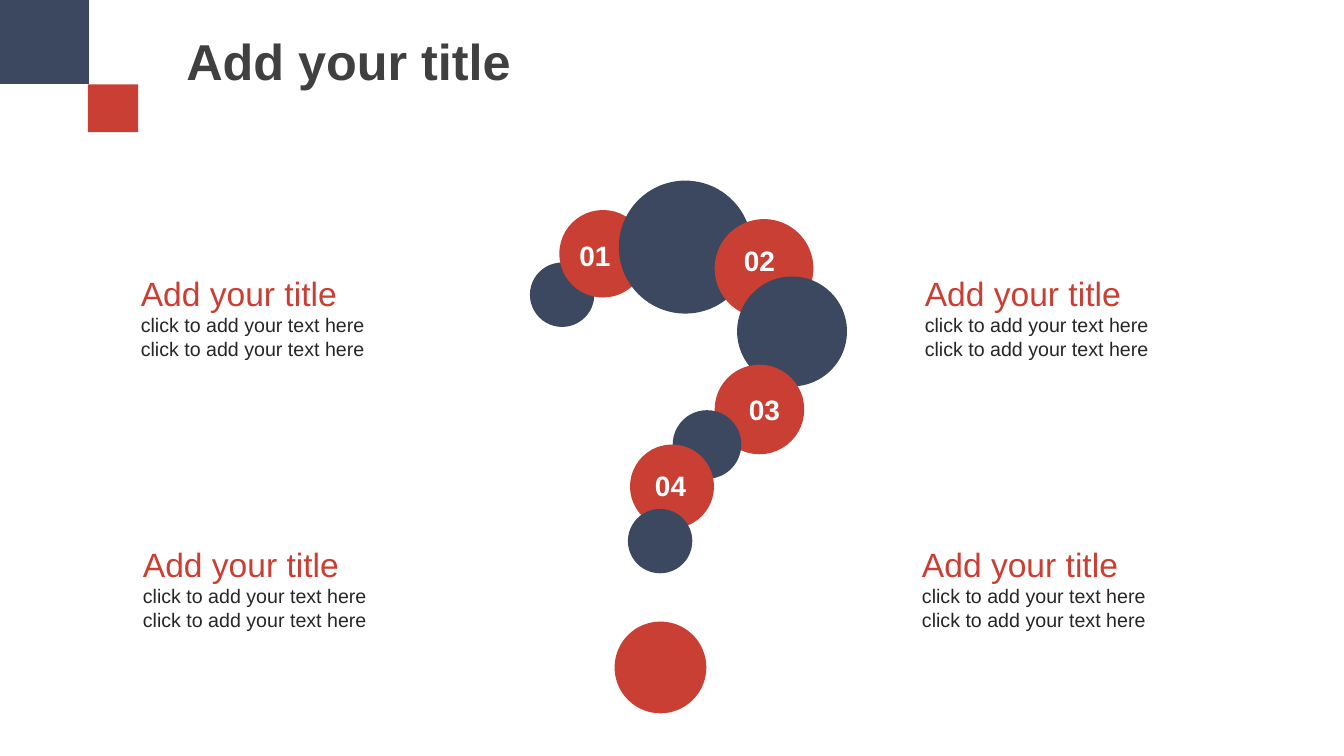
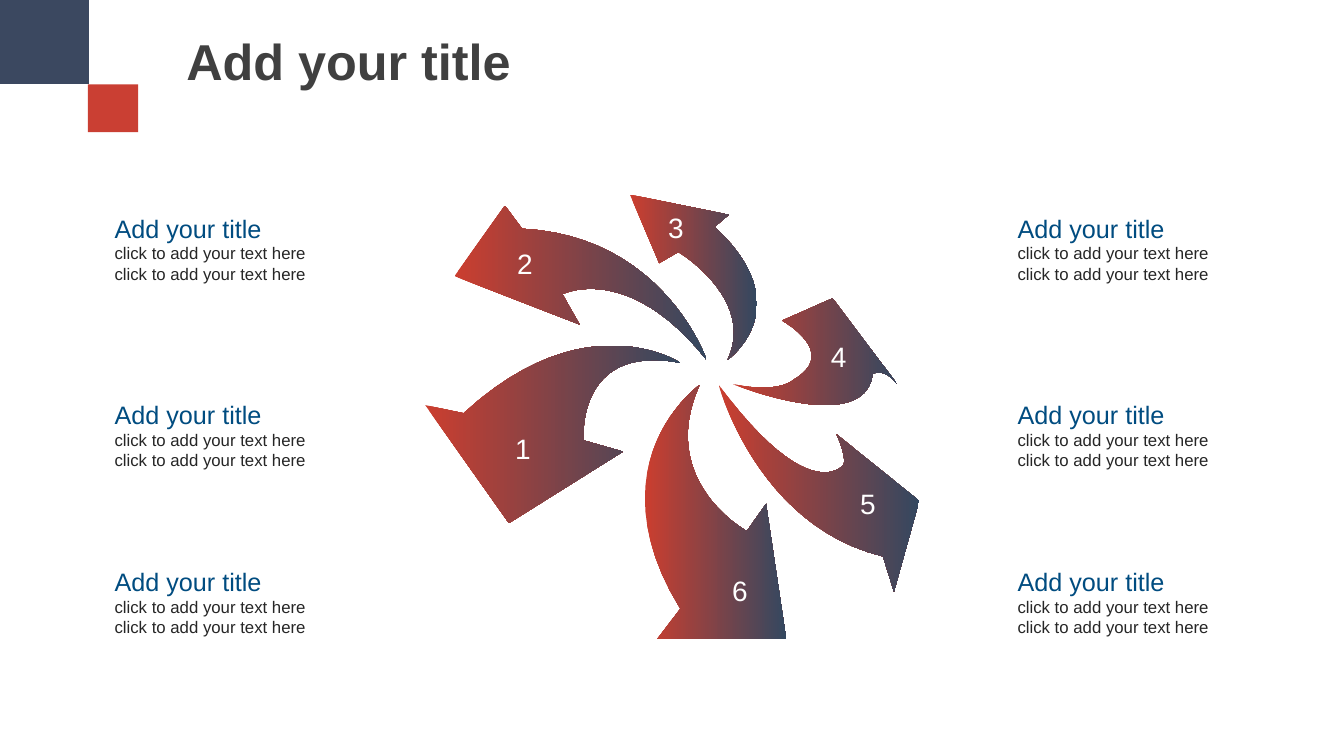
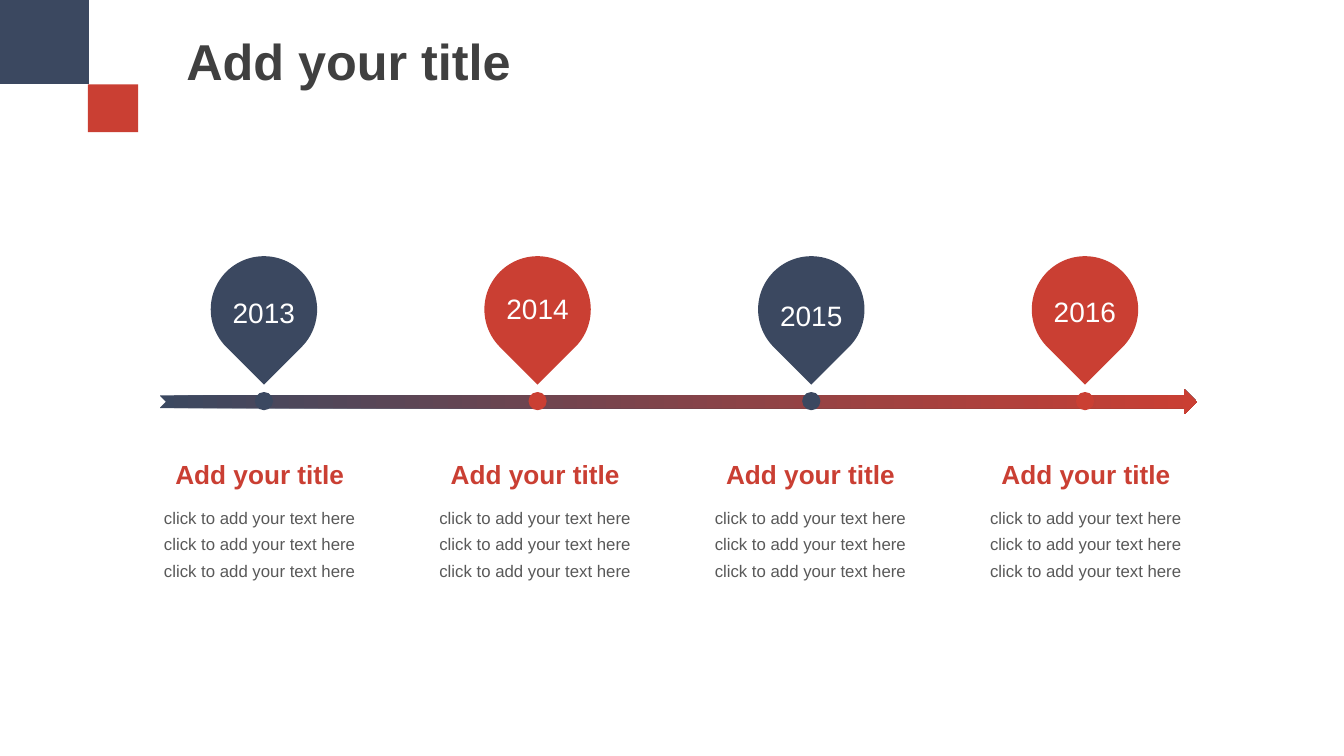
import pptx
import pptx.dml.color
import pptx.enum.shapes
import pptx.enum.text
import pptx.util

Pt = pptx.util.Pt
SHAPE = pptx.enum.shapes.MSO_SHAPE
ALIGN = pptx.enum.text.PP_ALIGN

FONT = "Arial"
COLORS = {
    "navy": "3B4860",
    "red": "CA3F33",
    "blade_start": "CB3E2F",
    "blade_end": "344860",
    "heading_blue": "004C80",
    "title": "404040",
    "body": "262626",
    "caption": "595959",
    "white": "FFFFFF",
}
HEADING = "Add your title"
BODY = "click to add your text here"

# Question mark: left, top, diameter; colours alternate
BUBBLES = [
    (378.5, 187.5, 46), (399.5, 150, 62.5), (442, 129, 95), (510.5, 156.5, 70.5),
    (526.5, 197.5, 78.5), (510.5, 260.5, 64), (480.5, 293, 49), (450, 317.5, 60),
    (448.5, 363.5, 46), (439, 444, 65.5),
]
BUBBLE_LABELS = [(393, 167), (510.5, 170.5), (514, 276.5), (447, 331)]
QUESTION_NOTES = [(93.5, 191.5), (651.5, 385), (95, 385), (653.5, 191.5)]

# Pinwheel blades: number centre, then outline.
# A pair is a straight edge; four values are a bend point and an end point.
BLADES = [
    ((373.5, 320.5), [(303.8, 289.4), (363.6, 373.7), (445, 322.6), (416.9, 314.6),
                      (411.1, 244.8, 486, 259.2), (419, 214.6, 331.2, 295.2)]),
    ((375, 188.3), [(504.7, 257), (474.5, 168.5, 373, 163.4), (360.7, 146.9),
                    (324.7, 197.3), (414, 231.8), (401.8, 210.2),
                    (448.6, 186.5, 504.7, 257)]),
    ((482.8, 162.5), [(450, 139), (470.9, 187.9), (484.6, 180),
                      (540, 213.1, 519.8, 257), (572.4, 219.6, 510.5, 162),
                      (520.6, 153.4)]),
    ((599, 255.3), [(523.4, 274.3), (617.8, 312.5, 623.5, 267.1),
                    (631.4, 262.1, 640.8, 274.3), (594.7, 213.1), (558.7, 229),
                    (600.5, 252, 566.6, 271.4), (556.6, 281.5, 523.4, 274.3)]),
    ((620, 360), [(513.4, 275), (540.7, 375.8, 630.7, 397.4), (638.6, 422.6),
                  (656.6, 357.8), (597.6, 310.3), (604.8, 326.2, 602.6, 331.9),
                  (578.9, 363.6, 513.4, 275)]),
    ((528.5, 422), [(499.7, 275), (421.9, 330.5, 486, 434.9), (469.4, 456.5),
                    (561.6, 456.5), (547.2, 360), (533.5, 379.4),
                    (468.7, 344.2, 499.7, 275)]),
]
CURVE_STEPS = 24

# Timeline: year and the top of its label
MILESTONES = [("2013", 207.5), ("2014", 204.5), ("2015", 210), ("2016", 206.5)]


def rgb(color):
    return pptx.dml.color.RGBColor.from_string(COLORS[color])


def paint(shape, color, end_color=None):
    """Flat fill, or a left-to-right gradient when end_color is given."""
    shape.shadow.inherit = False
    shape.line.fill.background()
    if end_color is None:
        shape.fill.solid()
        shape.fill.fore_color.rgb = rgb(color)
    else:
        shape.fill.gradient()
        shape.fill.gradient_angle = 0
        for stop, name in zip(shape.fill.gradient_stops, (color, end_color)):
            stop.color.rgb = rgb(name)


def add_block(slide, kind, left, top, width, height, color, end_color=None):
    block = slide.shapes.add_shape(kind, Pt(left), Pt(top), Pt(width), Pt(height))
    paint(block, color, end_color)
    return block


def add_text(slide, left, top, width, height, lines, align=ALIGN.LEFT,
             wrap=False, spacing=None):
    """Each line is (text, size, colour, bold)."""
    box = slide.shapes.add_textbox(Pt(left), Pt(top), Pt(width), Pt(height))
    frame = box.text_frame
    frame.word_wrap = wrap
    frame.text = "\n".join(line[0] for line in lines)
    for paragraph, (_, size, color, bold) in zip(frame.paragraphs, lines):
        paragraph.alignment = align
        if spacing:
            paragraph.line_spacing = spacing
        font = paragraph.font
        font.name, font.size, font.bold = FONT, Pt(size), bold
        font.color.rgb = rgb(color)


def add_label(slide, left, top, text, bold=False):
    add_text(slide, left, top, 64, 32, [(text, 20, "white", bold)], ALIGN.CENTER, True)


def add_note(slide, left, top, width, height, heading_color, heading_size, body_size):
    body = (BODY, body_size, "body", False)
    heading = (HEADING, heading_size, heading_color, False)
    add_text(slide, left, top, width, height, [heading, body, body])


def add_blade(slide, outline):
    points = [outline[0]]
    for *bend, end_x, end_y in outline[1:]:
        if not bend:
            points.append((end_x, end_y))
            continue
        # Cubic curve whose first control point is its start
        (x, y), (bend_x, bend_y) = points[-1], bend
        for step in range(1, CURVE_STEPS + 1):
            t = step / CURVE_STEPS
            near, middle, far = (1 - t) ** 2 * (1 + 2 * t), 3 * t * t * (1 - t), t ** 3
            points.append((near * x + middle * bend_x + far * end_x,
                           near * y + middle * bend_y + far * end_y))
    start, *rest = [(Pt(x), Pt(y)) for x, y in points]
    builder = slide.shapes.build_freeform(*start)
    builder.add_line_segments(rest, close=True)
    paint(builder.convert_to_shape(), "blade_start", "blade_end")


def add_framed_slide(deck):
    """Blank slide with the shared title and corner squares."""
    slide = deck.slides.add_slide(deck.slide_layouts[6])
    add_text(slide, 126, 18, 249, 51, [(HEADING, 36, "title", True)])
    add_block(slide, SHAPE.RECTANGLE, 0, 0, 63.5, 60, "navy")
    add_block(slide, SHAPE.RECTANGLE, 62.75, 60.25, 36, 34.25, "red")
    return slide


def build_question_mark(slide):
    for index, (left, top, diameter) in enumerate(BUBBLES):
        add_block(slide, SHAPE.OVAL, left, top, diameter, diameter,
                  ("navy", "red")[index % 2])
    for number, (left, top) in enumerate(BUBBLE_LABELS, 1):
        add_label(slide, left, top, f"{number:02d}", bold=True)
    for left, top in QUESTION_NOTES:
        add_note(slide, left, top, 175, 114, "red", 24, 14)


def build_pinwheel(slide):
    for number, ((x, y), outline) in enumerate(BLADES, 1):
        add_blade(slide, outline)
        add_label(slide, x - 32, y - 16, str(number))
    for left in (74.75, 719.75):
        for top in (148.5, 281.5, 401):
            add_note(slide, left, top, 152.5, 97, "heading_blue", 18, 12)


def build_timeline(slide):
    add_block(slide, SHAPE.NOTCHED_RIGHT_ARROW, 114, 278, 741, 18, "navy", "red")
    for index, (year, year_top) in enumerate(MILESTONES):
        color = ("navy", "red")[index % 2]
        # Pin and its dot on the axis
        center = 188.5 + 195.5 * index
        add_block(slide, SHAPE.OVAL, center - 6.5, 280, 13, 13, color)
        pin = add_block(slide, SHAPE.TEAR, center - 38, 183, 76, 76, color)
        pin.rotation = 135
        add_label(slide, center - 32, year_top, year)
        # Caption below the axis
        center = 185.5 + 196.7 * index
        add_text(slide, center - 67.5, 324, 135, 30,
                 [(HEADING, 18.7, "red", True)], ALIGN.CENTER)
        add_text(slide, center - 85, 355, 170, 64,
                 [(" ".join([BODY] * 3), 12, "caption", False)],
                 ALIGN.CENTER, True, 1.3)


def main():
    deck = pptx.Presentation()
    deck.slide_width, deck.slide_height = Pt(960), Pt(540)
    for build in (build_question_mark, build_pinwheel, build_timeline):
        build(add_framed_slide(deck))
    deck.save("out.pptx")


if __name__ == "__main__":
    main()
